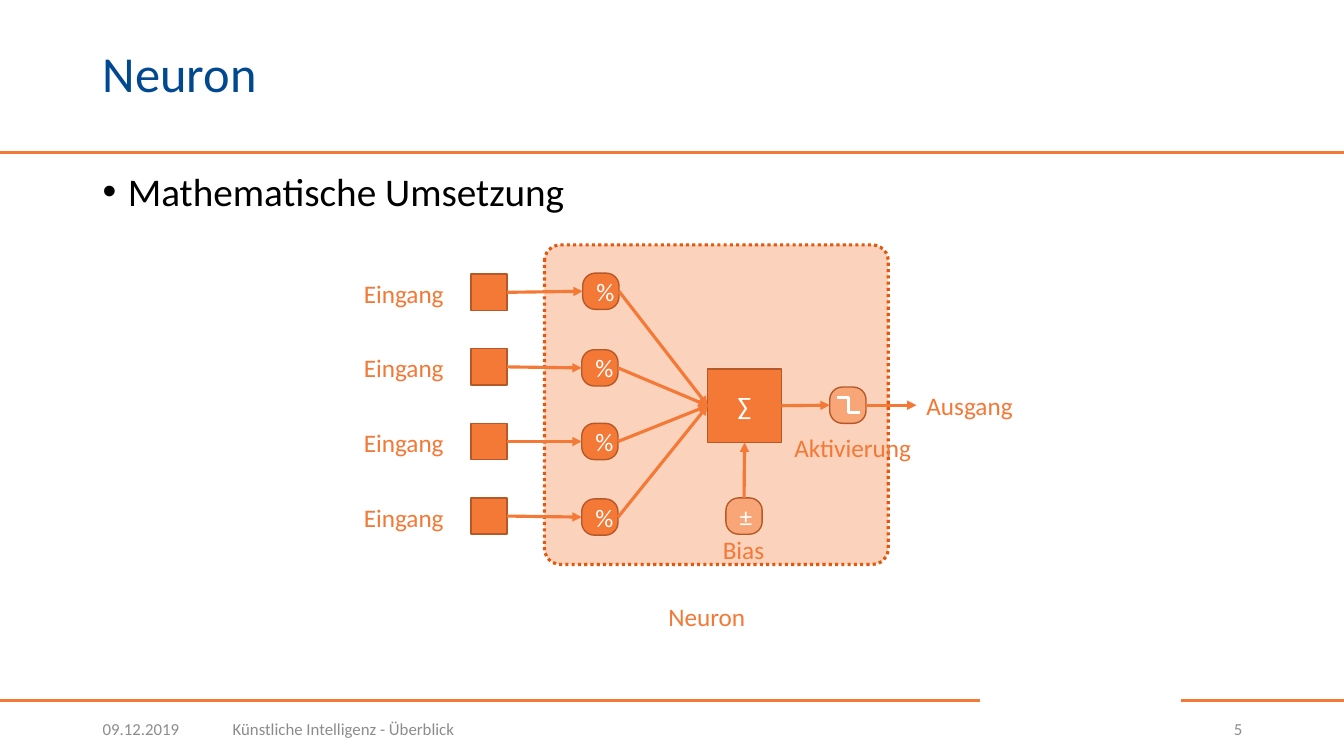
"""Build the slide on the mathematical model of a neuron."""
from lxml import etree
from pptx import Presentation
from pptx.dml.color import RGBColor
from pptx.enum.dml import MSO_LINE
from pptx.enum.shapes import MSO_CONNECTOR, MSO_SHAPE
from pptx.enum.text import MSO_ANCHOR, PP_ALIGN
from pptx.oxml.ns import qn
from pptx.util import Inches, Pt

RECT, ROUND = MSO_SHAPE.RECTANGLE, MSO_SHAPE.ROUNDED_RECTANGLE
LINE, BENT = MSO_CONNECTOR.STRAIGHT, MSO_CONNECTOR.ELBOW
TOP, MID = MSO_ANCHOR.TOP, MSO_ANCHOR.MIDDLE
LEFT, CENTER, RIGHT = PP_ALIGN.LEFT, PP_ALIGN.CENTER, PP_ALIGN.RIGHT
DOTS = MSO_LINE.ROUND_DOT
NORTH, WEST, SOUTH, EAST = range(4)
COLORS = {
    "rule": "F47936", "orange": "F47836", "edge": "B55928", "light": "F8A678",
    "pale": "FBD2BB", "dots": "E2580C", "title": "004990", "black": "000000",
    "gray": "8C8C8C", "white": "FFFFFF",
}
HEX = {name: RGBColor.from_string(code) for name, code in COLORS.items()}
SIDE, STEP = 0.36, 0.74

deck = Presentation()
deck.slide_width, deck.slide_height = Inches(13.33), Inches(7.5)
slide = deck.slides.add_slide(deck.slide_layouts[6])
shapes = slide.shapes


def write(shape, text, size=18, color="orange", align=LEFT, anchor=TOP, wrap=True):
    """Fill a shape or text box with one styled paragraph."""
    frame = shape.text_frame
    frame.word_wrap, frame.vertical_anchor = wrap, anchor
    para = frame.paragraphs[0]
    para.text, para.alignment = text, align
    para.font.size, para.font.name = Pt(size), "Calibri"
    para.font.color.rgb = HEX[color]
    return para


def paint(line, color, width):
    """Style a connector and drop its shadow."""
    line.line.color.rgb, line.line.width = HEX[color], Pt(width)
    etree.SubElement(line._element.spPr, qn("a:effectLst"))


for start, end, y in [(0, 13.33, 1.51), (0, 9.72, 6.95), (11.71, 13.33, 6.95)]:
    rule = shapes.add_connector(LINE, *map(Inches, (start, y, end, y)))
    paint(rule, "rule", 2)

title = shapes.add_textbox(*map(Inches, (0.92, 0.17, 11.5, 1.18)))
write(title, "Neuron", 36, "title", anchor=MID).line_spacing = 0.9

body = shapes.add_textbox(*map(Inches, (0.92, 1.66, 11.5, 0.77)))
point = write(body, "Mathematische Umsetzung", 28, "black")
point.line_spacing, point.space_before = 0.9, Pt(10)
props = point._p.get_or_add_pPr()
props.set("marL", str(Inches(0.25)))
props.set("indent", str(Inches(-0.25)))
etree.SubElement(props, qn("a:buFont")).set("typeface", "Arial")
etree.SubElement(props, qn("a:buChar")).set("char", "•")
props.append(props.find(qn("a:defRPr")))

for x, width, text, align in [
    (0.92, 1.17, "09.12.2019", LEFT),
    (2.21, 9.26, "Künstliche Intelligenz - Überblick", LEFT),
    (11.63, 0.79, "5", RIGHT),
]:
    foot = shapes.add_textbox(*map(Inches, (x, 7.03, width, 0.4)))
    write(foot, text, 12, "gray", align, MID)

cell = shapes.add_shape(ROUND, *map(Inches, (5.4, 2.43, 3.41, 3.17)))
cell.adjustments[0] = 0.05
cell.shadow.inherit = False
cell.fill.solid()
cell.fill.fore_color.rgb = HEX["pale"]
cell.line.color.rgb, cell.line.width = HEX["dots"], Pt(2.25)
cell.line.dash_style = DOTS

rows = range(4)
specs = [(f"in{i}", RECT, 4.67, 2.72 + i * STEP, SIDE, "orange", "") for i in rows]
spots = [(5.78, 2.71), (5.77, 3.47), (5.77, 4.2), (5.77, 4.95)]
specs += [(f"weight{i}", ROUND, x, y, SIDE, "orange", "%") for i, (x, y) in enumerate(spots)]
specs += [
    ("sum", RECT, 7.02, 3.66, 0.73, "orange", "∑"),
    ("bias", ROUND, 7.2, 4.94, SIDE, "light", "±"),
    ("step", ROUND, 8.23, 3.84, SIDE, "light", ""),
]
nodes = {}
for name, kind, x, y, side, color, text in specs:
    node = nodes[name] = shapes.add_shape(kind, *map(Inches, (x, y, side, side)))
    if kind == ROUND:
        node.adjustments[0] = 0.35
    node.shadow.inherit = False
    node.fill.solid()
    node.fill.fore_color.rgb = HEX[color]
    node.line.color.rgb, node.line.width = HEX["edge"], Pt(1)
    if text:
        write(node, text, color="white", align=CENTER, anchor=MID)

labels = [("Eingang", 3.51, 2.71 + i * STEP, 1) for i in rows]
labels += [
    ("Neuron", 6.53, 5.92, 0.97),
    ("Bias", 7.07, 5.25, 0.62),
    ("Aktivierung", 7.78, 4.24, 1.37),
    ("Ausgang", 9.09, 3.82, 1.07),
]
for text, x, y, width in labels:
    label = nodes[text] = shapes.add_textbox(*map(Inches, (x, y, width, 0.4)))
    write(label, text, wrap=False)

links = [(f"in{i}", EAST, f"weight{i}", WEST) for i in rows]
links += [(f"weight{i}", EAST, "sum", WEST) for i in rows]
links += [
    ("sum", EAST, "step", WEST),
    ("bias", NORTH, "sum", SOUTH),
    ("step", EAST, "Ausgang", WEST),
]
for source, out, target, into in links:
    arrow = shapes.add_connector(LINE, 0, 0, 0, 0)
    arrow.begin_connect(nodes[source], out)
    arrow.end_connect(nodes[target], into)
    paint(arrow, "orange", 2.25)
    etree.SubElement(arrow.line._ln, qn("a:tailEnd")).set("type", "triangle")

curve = shapes.add_connector(BENT, *map(Inches, (8.3, 3.94, 8.53, 4.09)))
paint(curve, "white", 2.25)

deck.save("out.pptx")
